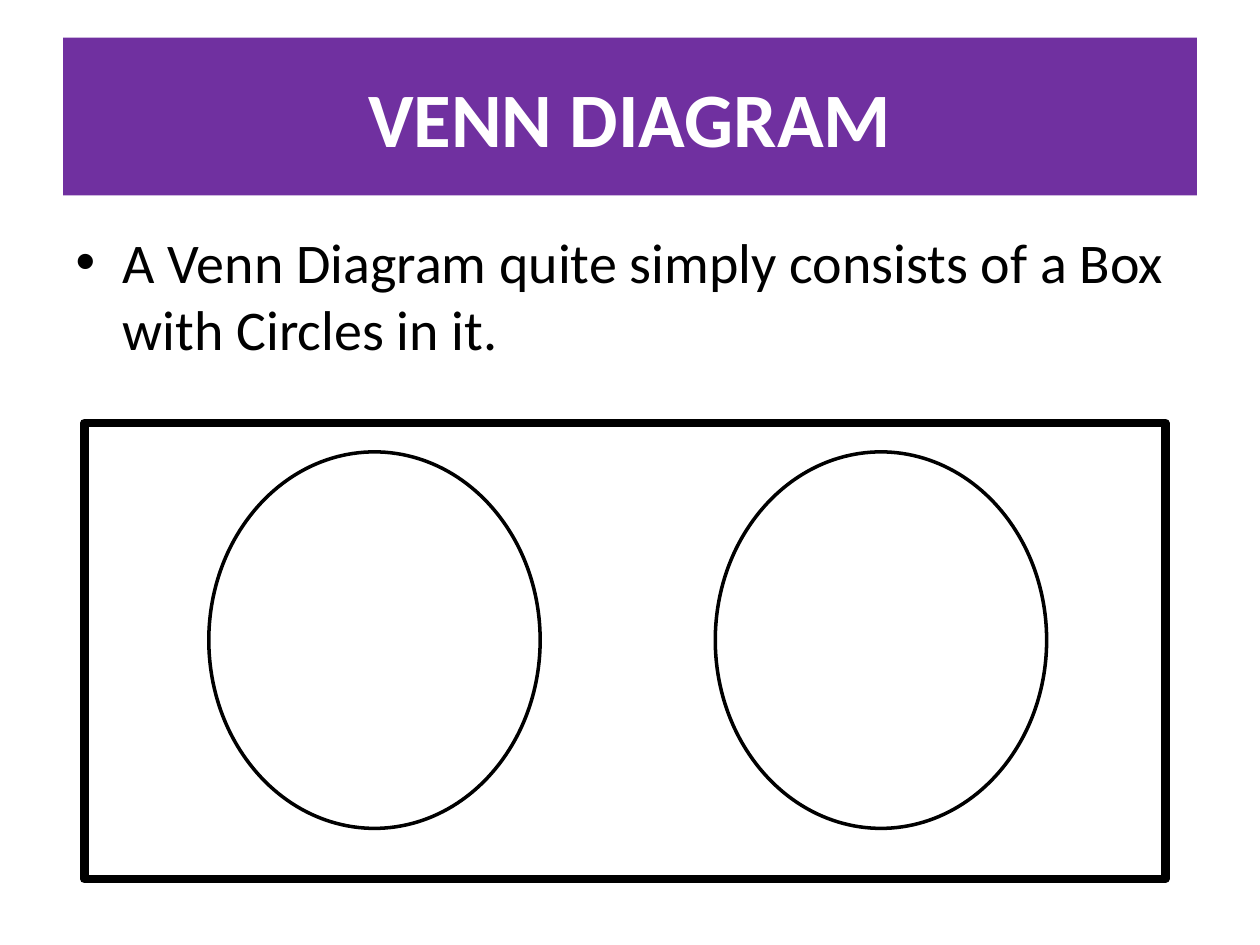
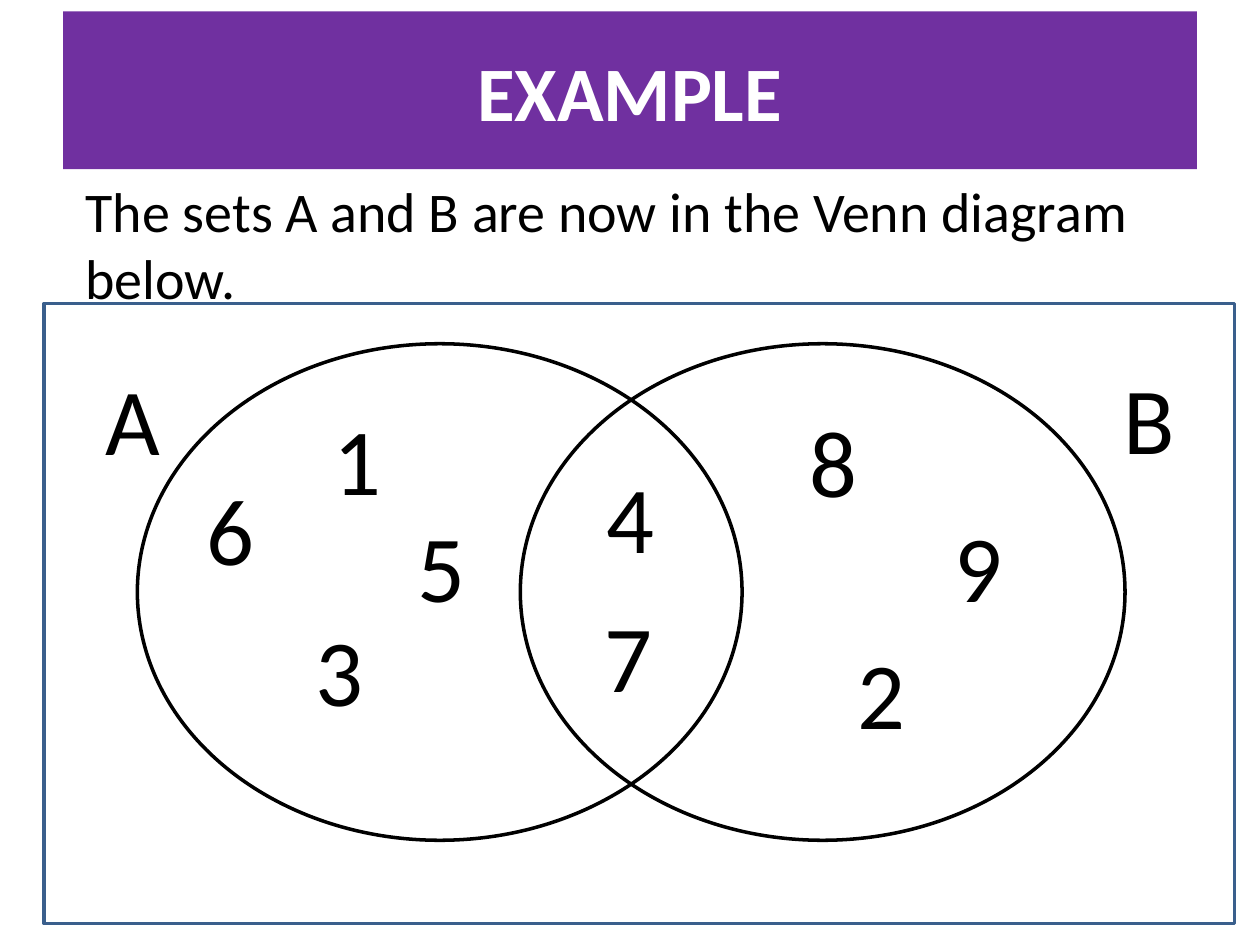
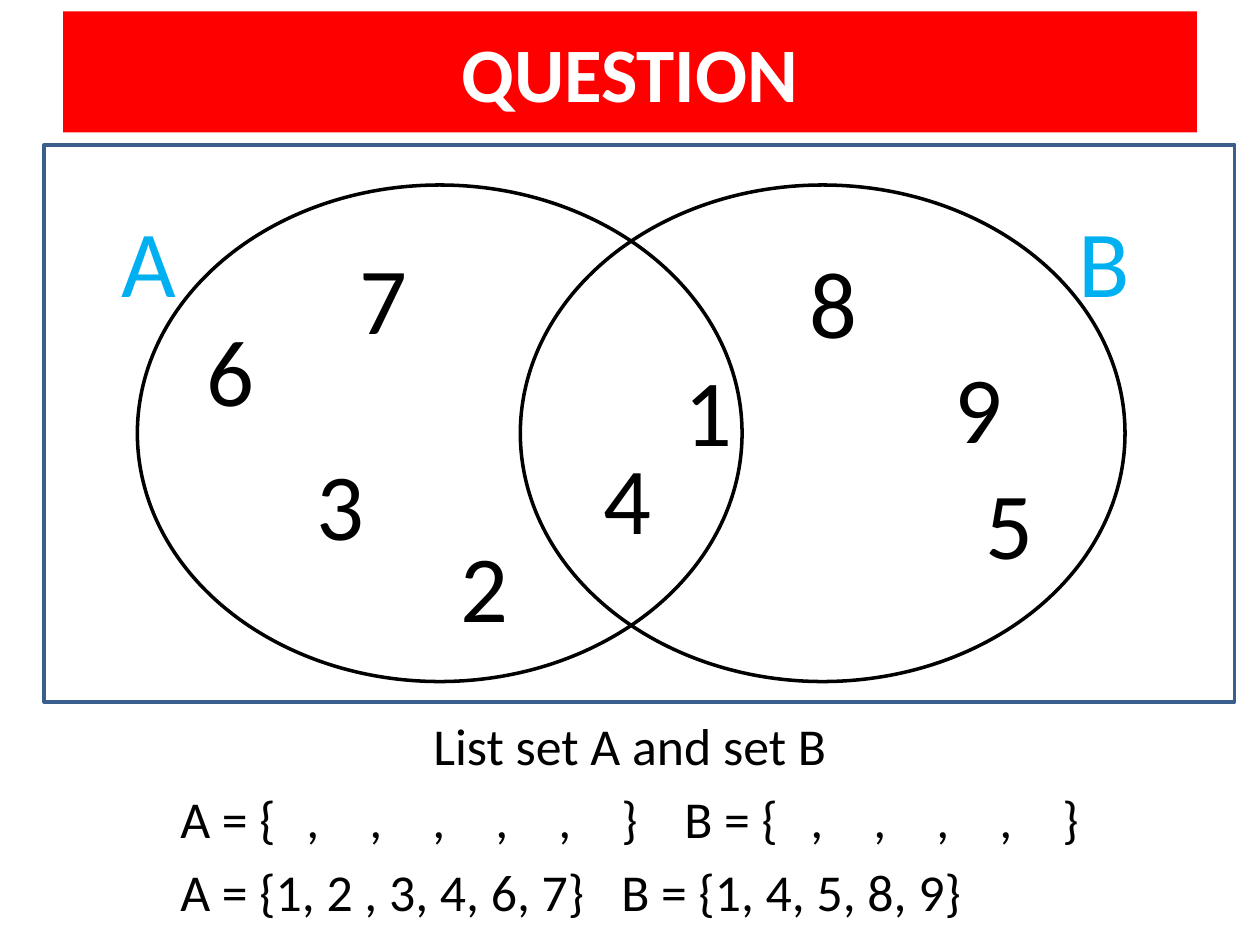
from lxml import etree
from pptx import Presentation
from pptx.dml.color import RGBColor
from pptx.enum.shapes import MSO_SHAPE
from pptx.enum.text import MSO_ANCHOR, MSO_AUTO_SIZE, PP_ALIGN
from pptx.oxml.ns import qn
from pptx.util import Cm, Pt

RECT, OVAL = MSO_SHAPE.RECTANGLE, MSO_SHAPE.OVAL
MIDDLE = MSO_ANCHOR.MIDDLE
FIXED, GROW = MSO_AUTO_SIZE.NONE, MSO_AUTO_SIZE.SHAPE_TO_FIT_TEXT
LEFT, CENTER = PP_ALIGN.LEFT, PP_ALIGN.CENTER

BLACK = RGBColor(0x00, 0x00, 0x00)
WHITE = RGBColor(0xFF, 0xFF, 0xFF)
PURPLE = RGBColor(0x70, 0x30, 0xA0)
RED = RGBColor(0xFF, 0x00, 0x00)
NAVY = RGBColor(0x3A, 0x5F, 0x8C)
CYAN = RGBColor(0x00, 0xB0, 0xF0)

FONT = "Calibri"
TITLE = {"size": Pt(44), "bold": True}
BODY = {"size": Pt(32)}
ANSWER = {"size": Pt(29.6)}
LABEL = {"size": Pt(54)}

APART = {"left": 2.51, "top": 0.58, "step": 10.21, "size": (6.68, 7.59)}
OVERLAP = {"left": 1.88, "top": 0.81, "step": 7.72, "size": (12.19, 10.01)}
WIDE = {"A": 1.63, "B": 1.55}

EXAMPLE = {
    "A": (0.97, 1.04), "B": (21.51, 1.02),
    "1": (5.56, 1.83), "6": (3, 3.25), "5": (7.26, 3.99), "3": (5.21, 6.1),
    "4": (11.07, 3), "7": (11.02, 5.82),
    "8": (15.16, 1.88), "9": (18.08, 3.99), "2": (16.13, 6.55),
}
QUIZ = {
    "A": (1.3, 1.04), "B": (20.6, 1.04),
    "7": (6.1, 1.8), "6": (3, 3.25), "3": (5.23, 5.94), "2": (8.13, 7.59),
    "1": (12.65, 4.06), "4": (11, 5.82),
    "8": (15.16, 1.88), "9": (18.08, 3.99), "5": (18.72, 6.32),
}

GAP = 0.97
BLANKS = ([2.65 + GAP * i for i in range(6)] + [10.34]
          + [12.97 + GAP * i for i in range(5)])


def place(shape, box):
    """Move a shape to a box given in centimetres."""
    for name, value in zip(("left", "top", "width", "height"), box):
        setattr(shape, name, Cm(value))


def write(para, text, style, color=BLACK):
    """Add one formatted run to a paragraph."""
    run = para.add_run()
    run.text = text
    for name, value in {"name": FONT, **style}.items():
        setattr(run.font, name, value)
    run.font.color.rgb = color


def plain(para, stops=()):
    """Drop the bullet and indent, and set tab stops."""
    props = para._p.get_or_add_pPr()
    props.set("marL", "0")
    props.set("indent", "0")
    etree.SubElement(props, qn("a:buNone"))
    if stops:
        tabs = etree.SubElement(props, qn("a:tabLst"))
        for stop in stops:
            etree.SubElement(tabs, qn("a:tab"), pos=str(int(Cm(stop))), algn="l")


def band(slide, box, text, color):
    """Fill the title placeholder as a coloured band."""
    title = slide.shapes.title
    place(title, box)
    title.fill.solid()
    title.fill.fore_color.rgb = color
    frame = title.text_frame
    frame.vertical_anchor = MIDDLE
    para = frame.paragraphs[0]
    para.alignment = CENTER
    write(para, text, TITLE, WHITE)


def body(slide, box, lines, style, bullet=False):
    """Fill the body placeholder with (text, alignment, stops) lines."""
    holder = slide.placeholders[1]
    place(holder, box)
    frame = holder.text_frame
    frame.auto_size = FIXED
    for i, (text, align, stops) in enumerate(lines):
        para = frame.add_paragraph() if i else frame.paragraphs[0]
        para.alignment = align
        para.space_before = Pt(style["size"].pt * 0.2 if i else 0)
        if not bullet:
            plain(para, stops)
        write(para, text, style)


def outline(slide, kind, box, color, weight):
    """Draw an unfilled shape."""
    shape = slide.shapes.add_shape(kind, *map(Cm, box))
    shape.shadow.inherit = False
    shape.fill.background()
    shape.line.color.rgb = color
    shape.line.width = Pt(weight)


def venn(slide, box, rings, color, weight):
    """Draw a box with two equal circles in it."""
    outline(slide, RECT, box, color, weight)
    for i in range(2):
        left = box[0] + rings["left"] + i * rings["step"]
        spot = (left, box[1] + rings["top"], *rings["size"])
        outline(slide, OVAL, spot, BLACK, 2)


def labels(slide, box, items, tint):
    """Place set names and members relative to the box."""
    for text, (x, y) in items.items():
        spot = (box[0] + x, box[1] + y, WIDE.get(text, 1.5), 2.57)
        frame = slide.shapes.add_textbox(*map(Cm, spot)).text_frame
        frame.word_wrap = False
        frame.auto_size = GROW
        para = frame.paragraphs[0]
        para.alignment = CENTER
        write(para, text, LABEL, tint if text in WIDE else BLACK)


def intro(slide):
    """Build the slide that says what a Venn diagram is."""
    band(slide, (1.27, 0.76, 22.86, 3.18), "VENN DIAGRAM", PURPLE)
    text = "A Venn Diagram quite simply consists of a Box with Circles in it."
    body(slide, (1.27, 4.45, 22.86, 12.57), [(text, LEFT, ())], BODY, True)
    venn(slide, (1.7, 8.53, 21.79, 9.19), APART, BLACK, 5)


def example(slide):
    """Build the slide with two filled sets."""
    box = (0.89, 6.12, 24, 12.5)
    band(slide, (1.27, 0.23, 22.86, 3.18), "EXAMPLE", PURPLE)
    text = "The sets A and B are now in the Venn diagram below."
    body(slide, (1.47, 3.43, 22.86, 12.57), [(text, LEFT, ())], BODY)
    venn(slide, box, OVERLAP, NAVY, 2)
    labels(slide, box, EXAMPLE, BLACK)


def question(slide):
    """Build the slide that asks for both sets."""
    box = (0.89, 2.92, 24, 11.23)
    band(slide, (1.27, 0.23, 22.86, 2.44), "QUESTION", RED)
    lines = [
        ("List set A and set B", CENTER, ()),
        ("A = {" + "\t," * 5 + "\t}\tB = {" + "\t," * 4 + "\t}", LEFT, BLANKS),
        ("A = {1, 2 , 3, 4, 6, 7}\tB = {1, 4, 5, 8, 9}", LEFT, [10.22]),
    ]
    body(slide, (3.38, 14.27, 18.64, 3.84), lines, ANSWER)
    venn(slide, box, OVERLAP, NAVY, 2)
    labels(slide, box, QUIZ, CYAN)


def main():
    """Build and save the deck."""
    deck = Presentation()
    deck.slide_width, deck.slide_height = Cm(25.4), Cm(19.05)
    for build in (intro, example, question):
        build(deck.slides.add_slide(deck.slide_layouts[1]))
    deck.save("out.pptx")


if __name__ == "__main__":
    main()
